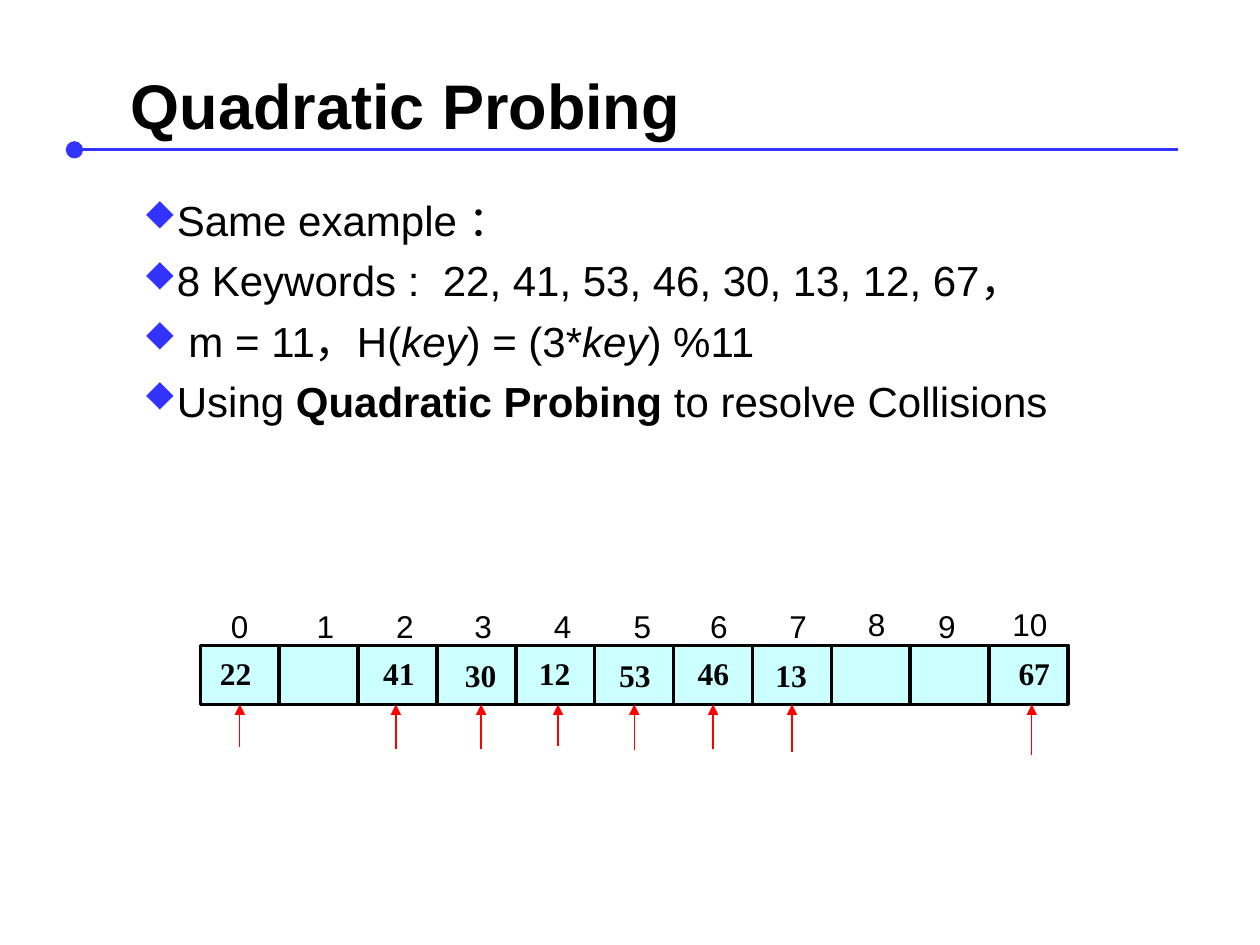
from lxml.etree import SubElement
from pptx import Presentation
from pptx.dml.color import RGBColor
from pptx.enum.shapes import MSO_CONNECTOR, MSO_SHAPE
from pptx.enum.text import MSO_ANCHOR, PP_ALIGN
from pptx.oxml.ns import qn
from pptx.util import Cm, Pt

BLACK = RGBColor(0x00, 0x00, 0x00)
BLUE = RGBColor(0x33, 0x33, 0xFF)
RED = RGBColor(0xFF, 0x00, 0x00)
PALE_CYAN = RGBColor(0xCC, 0xFF, 0xFF)

TITLE_FORMAT = {"name": "Arial", "size": Pt(36), "bold": True}
BODY_FORMAT = {"name": "Arial", "size": Pt(24)}
INDEX_FORMAT = {"name": "Arial", "size": Pt(18)}
KEY_FORMAT = {"name": "Times New Roman", "size": Pt(18), "bold": True}
ITALIC = {"italic": True}
BOLD = {"bold": True}

# Line ends
LARGE_OVAL = {"type": "oval", "w": "lg", "len": "lg"}
TRIANGLE = {"type": "triangle"}

# Hash table geometry in centimetres
TABLE_LEFT, TABLE_TOP = 4.04, 13.01
CELL_WIDTH, CELL_HEIGHT = 1.59, 1.19
CELL_COUNT = 11

# Index labels: centre and top
INDEX_CENTRES = [4.83, 6.56, 8.16, 9.74, 11.34, 12.95, 14.49, 16.09, 17.67, 19.09, 20.76]
RAISED_INDEXES = {8, 10}

# Slot: key, key centre, key top, arrow x, arrow bottom
KEYS = {
    0: ("22", 4.75, 12.98, 4.85, 15.06),
    2: ("41", 8.04, 12.98, 7.98, 15.09),
    3: ("30", 9.69, 13.02, 9.7, 15.09),
    4: ("12", 11.18, 12.98, 11.25, 15.04),
    5: ("53", 12.8, 13.02, 12.8, 15.11),
    6: ("46", 14.38, 12.98, 14.38, 15.09),
    7: ("13", 15.95, 13.02, 15.95, 15.16),
    10: ("67", 20.85, 12.97, 20.8, 15.21),
}

BODY = [
    [("Same example ：", {})],
    [("8 Keywords :  22, 41, 53, 46, 30, 13, 12, 67，", {})],
    [(" m = 11，H(", {}), ("key", ITALIC), (") = (3*", {}), ("key", ITALIC), (") %11", {})],
    [("Using ", {}), ("Quadratic Probing", BOLD), (" to resolve Collisions", {})],
]


def apply(target, values):
    for name, value in values.items():
        setattr(target, name, value)


def add_run(paragraph, text, values):
    run = paragraph.add_run()
    run.text = text
    apply(run.font, values)
    run.font.color.rgb = BLACK


def add_label(slide, text, left, top, width, height, values, alignment=PP_ALIGN.CENTER):
    shape = slide.shapes.add_textbox(Cm(left), Cm(top), Cm(width), Cm(height))
    apply(shape.text_frame, {"word_wrap": False, "vertical_anchor": MSO_ANCHOR.MIDDLE})
    paragraph = shape.text_frame.paragraphs[0]
    paragraph.alignment = alignment
    add_run(paragraph, text, values)


def add_line(slide, start, end, color, width, end_tag, end_format):
    points = [Cm(value) for value in (*start, *end)]
    connector = slide.shapes.add_connector(MSO_CONNECTOR.STRAIGHT, *points)
    connector.line.color.rgb = color
    connector.line.width = Pt(width)
    SubElement(connector.line._get_or_add_ln(), qn(end_tag), end_format)
    SubElement(connector._element.spPr, qn("a:effectLst"))
    return connector


def add_bullet(paragraph):
    properties = paragraph._p.get_or_add_pPr()
    properties.set("marL", str(Cm(0.66)))
    properties.set("indent", str(-Cm(0.66)))
    color = SubElement(properties, qn("a:buClr"))
    SubElement(color, qn("a:srgbClr"), val=str(BLUE))
    SubElement(properties, qn("a:buSzPct"), val="80000")
    # The letter u is a diamond in Wingdings
    SubElement(properties, qn("a:buFont"), typeface="Wingdings", charset="2")
    SubElement(properties, qn("a:buChar"), char="u")


def add_body(slide):
    shape = slide.shapes.add_textbox(Cm(2.39), Cm(3.59), Cm(21.46), Cm(5.87))
    frame = shape.text_frame
    apply(frame, {"word_wrap": True, "margin_left": Cm(0.5), "margin_right": Cm(0.1)})
    for number, runs in enumerate(BODY):
        paragraph = frame.add_paragraph() if number else frame.paragraphs[0]
        paragraph.line_spacing = 1.2
        add_bullet(paragraph)
        for text, values in runs:
            add_run(paragraph, text, {**BODY_FORMAT, **values})


def add_cell(slide, index):
    left = TABLE_LEFT + index * CELL_WIDTH
    cell = slide.shapes.add_shape(
        MSO_SHAPE.RECTANGLE, Cm(left), Cm(TABLE_TOP), Cm(CELL_WIDTH), Cm(CELL_HEIGHT))
    cell.shadow.inherit = False
    cell.fill.solid()
    cell.fill.fore_color.rgb = PALE_CYAN
    cell.line.color.rgb = BLACK
    cell.line.width = Pt(2)
    return cell


def add_key(slide, cell, key, centre, top, arrow_x, arrow_bottom):
    add_label(slide, key, centre - 0.75, top, 1.5, CELL_HEIGHT, KEY_FORMAT)
    middle = cell.left + cell.width // 2
    joined = abs(Cm(arrow_x) - middle) <= Cm(0.03)
    x = middle / Cm(1) if joined else arrow_x
    arrow = add_line(slide, (x, arrow_bottom), (x, TABLE_TOP + CELL_HEIGHT),
                     RED, 0.75, "a:tailEnd", TRIANGLE)
    if joined:
        arrow.end_connect(cell, 2)


def main():
    presentation = Presentation()
    apply(presentation, {"slide_width": Cm(25.4), "slide_height": Cm(19.05)})
    slide = presentation.slides.add_slide(presentation.slide_layouts[6])

    # Title with its rule
    add_line(slide, (1.5, 3.02), (23.75, 3.02), BLUE, 1.5, "a:headEnd", LARGE_OVAL)
    add_label(slide, "Quadratic Probing", 2.39, 1.28, 12.52, 1.63, TITLE_FORMAT, PP_ALIGN.LEFT)

    # Problem statement
    add_body(slide)

    # Hash table: indexes, cells, then keys with arrows
    for index, centre in enumerate(INDEX_CENTRES):
        top = 11.98 if index in RAISED_INDEXES else 12.03
        add_label(slide, str(index), centre - 0.8, top, 1.6, CELL_HEIGHT, INDEX_FORMAT)
    cells = [add_cell(slide, index) for index in range(CELL_COUNT)]
    for index, values in KEYS.items():
        add_key(slide, cells[index], *values)

    presentation.save("out.pptx")


if __name__ == "__main__":
    main()
